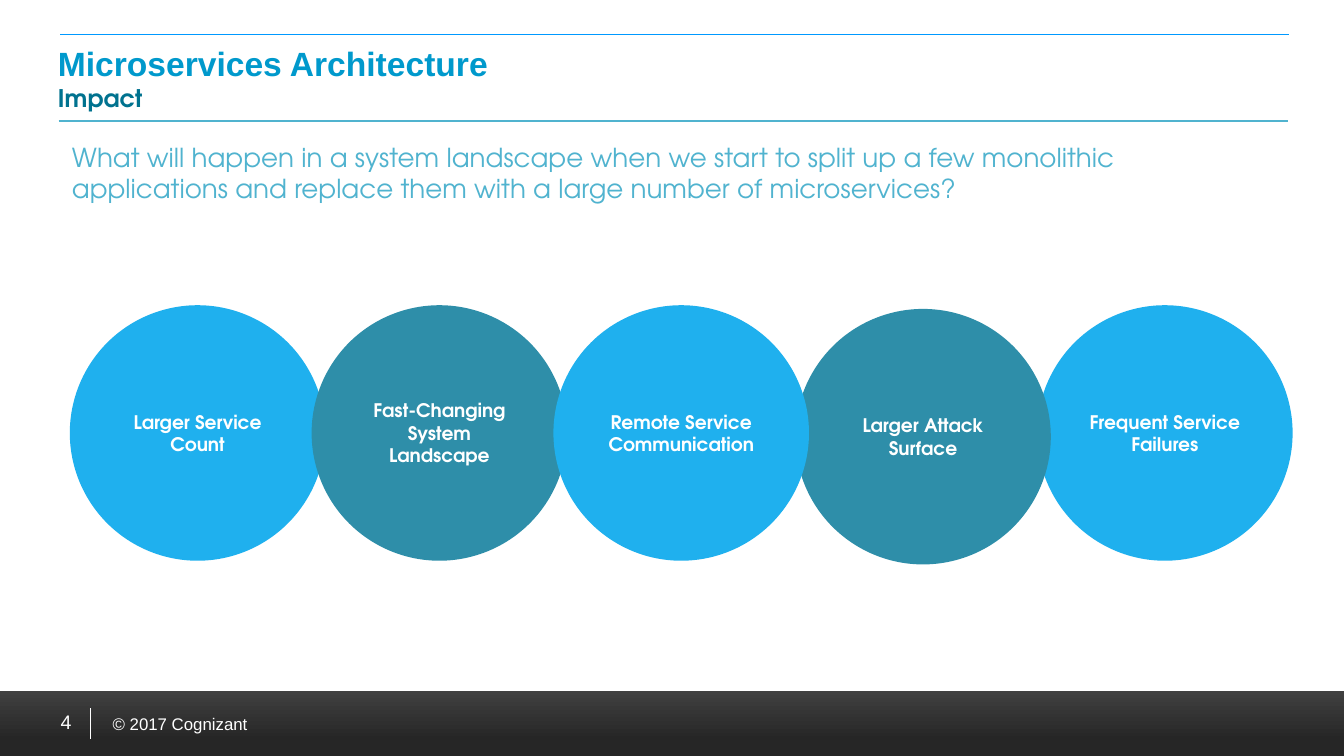
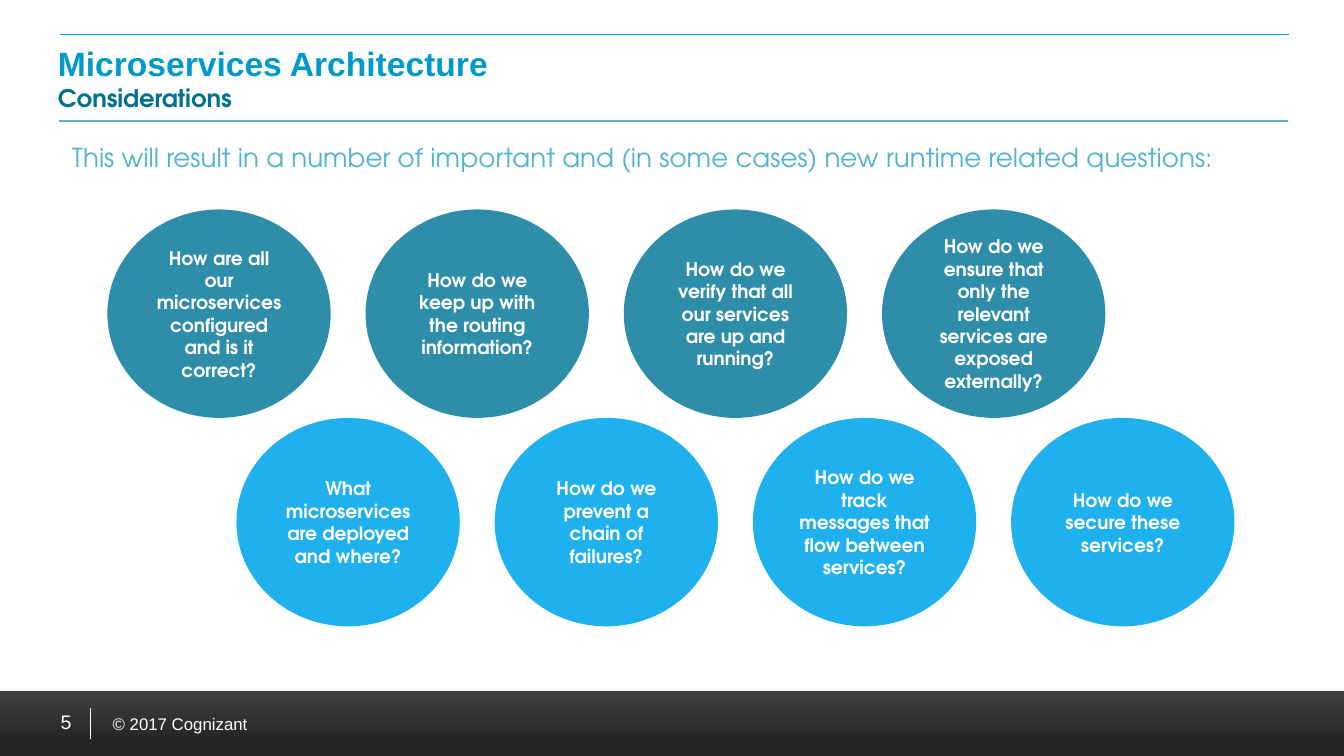
from dataclasses import dataclass

from lxml.etree import SubElement
from pptx import Presentation
from pptx.dml.color import RGBColor
from pptx.enum.shapes import MSO_CONNECTOR, MSO_SHAPE
from pptx.enum.text import MSO_ANCHOR, MSO_AUTO_SIZE, PP_ALIGN
from pptx.oxml.ns import qn
from pptx.util import Cm, Pt

TITLE = "Microservices Architecture"
COPYRIGHT = "© 2017 Cognizant"

IMPACT = {
    "number": "4",
    "subtitle": "Impact",
    "intro": "What will happen in a system landscape when we start to split up a few "
             "monolithic applications and replace them with a large number of microservices?",
    "intro_height": 1.45,
}
IMPACTS = [
    "Larger Service\nCount",
    "Fast-Changing System Landscape",
    "Remote Service Communication",
    "Larger Attack\nSurface",
    "Frequent Service Failures",
]
# The middle circle overlaps both neighbours, so it is drawn last.
IMPACT_ORDER = (4, 3, 0, 1, 2)

CONSIDERATIONS = {
    "number": "5",
    "subtitle": "Considerations",
    "intro": "This will result in a number of important and (in some cases) new "
             "runtime related questions:",
    "intro_height": 0.87,
}
QUESTION_ROWS = [
    [
        "How are all our microservices configured and is it correct?",
        "How do we keep up with the routing information?",
        "How do we verify that all our services are up and running?",
        "How do we ensure that only the relevant services are exposed externally?",
    ],
    [
        "What microservices are deployed and where?",
        "How do we prevent a chain of failures?",
        "How do we track messages that flow between services?",
        "How do we secure these services?",
    ],
]


@dataclass(frozen=True)
class Theme:
    white: str = "FFFFFF"
    teal: str = "2E8EA9"
    sky: str = "1FB0EE"
    pale_teal: str = "50B3CF"
    top_rule: str = "0099FF"
    band_dark: str = "262626"
    band_light: str = "404040"
    body_font: str = "TeX Gyre Adventor"

    @property
    def title(self):
        return {"name": "Arial", "size": Pt(18), "bold": True, "color": "0099CC"}

    @property
    def subtitle(self):
        return {"name": self.body_font, "size": Pt(13), "bold": True, "color": "00728F"}

    @property
    def intro(self):
        return {"name": self.body_font, "size": Pt(14), "color": self.pale_teal}

    @property
    def circle(self):
        return {"name": self.body_font, "size": Pt(10), "bold": True, "color": self.white}

    @property
    def copyright(self):
        return {"name": "Arial", "size": Pt(9), "color": self.white}

    @property
    def number(self):
        return {"name": "Arial", "size": Pt(10.5), "color": self.white}


THEME = Theme()


def rgb(color):
    return RGBColor.from_string(color)


def style(font, values):
    for name, value in values.items():
        if name == "color":
            font.color.rgb = rgb(value)
        else:
            setattr(font, name, value)


def write(shape, text, font, align=PP_ALIGN.LEFT, anchor=MSO_ANCHOR.TOP):
    frame = shape.text_frame
    frame.text = text
    frame.word_wrap = True
    frame.vertical_anchor = anchor
    for para in frame.paragraphs:
        para.alignment = align
        for span in para.runs:
            style(span.font, font)


def add_text(page, area, text, font, **layout):
    box = page.shapes.add_textbox(*map(Cm, area))
    write(box, text, font, **layout)
    return box


def add_rule(page, start, end, color, width):
    rule = page.shapes.add_connector(MSO_CONNECTOR.STRAIGHT, *map(Cm, start + end))
    rule.line.color.rgb = rgb(color)
    rule.line.width = Pt(width)
    SubElement(rule._element.spPr, qn("a:effectLst"))


def add_circle(page, area, text, color):
    circle = page.shapes.add_shape(MSO_SHAPE.OVAL, *map(Cm, area))
    circle.shadow.inherit = False
    circle.fill.solid()
    circle.fill.fore_color.rgb = rgb(color)
    circle.line.fill.background()
    write(circle, text, THEME.circle, align=PP_ALIGN.CENTER, anchor=MSO_ANCHOR.MIDDLE)


def add_footer(page, number):
    band = page.shapes.add_shape(MSO_SHAPE.RECTANGLE, 0, Cm(13.06), Cm(25.4), Cm(1.23))
    band.shadow.inherit = False
    band.line.fill.background()
    band.fill.gradient()
    band.fill.gradient_angle = 90
    stops = [(0.24, THEME.band_dark), (1, THEME.band_light)]
    for stop, (position, color) in zip(band.fill.gradient_stops, stops):
        stop.position = position
        stop.color.rgb = rgb(color)
    add_text(page, (1.88, 13.36, 5.33, 0.64), COPYRIGHT, THEME.copyright)
    add_rule(page, (1.71, 13.39), (1.71, 13.97), THEME.white, 0.5)
    add_text(page, (0.1, 13.13, 1.5, 1.04), number, THEME.number,
             align=PP_ALIGN.RIGHT, anchor=MSO_ANCHOR.MIDDLE)


def set_title(page, subtitle):
    title = page.shapes.title
    title.left, title.top, title.width, title.height = map(Cm, (0.84, 0.69, 23.52, 1.65))
    write(title, TITLE, THEME.title)
    title.text_frame.auto_size = MSO_AUTO_SIZE.NONE
    para = title.text_frame.paragraphs[0]
    para.add_line_break()
    span = para.add_run()
    span.text = subtitle
    style(span.font, THEME.subtitle)


def add_page(deck, content):
    """Add a slide with its title, rules, footer and introduction."""
    page = deck.slides.add_slide(deck.slide_layouts.get_by_name("Title Only"))
    add_footer(page, content["number"])
    set_title(page, content["subtitle"])
    add_rule(page, (1.14, 0.66), (24.36, 0.66), THEME.top_rule, 0.5)
    add_rule(page, (1.11, 2.29), (24.35, 2.29), THEME.pale_teal, 1)
    intro = add_text(page, (1.11, 2.54, 23.24, content["intro_height"]),
                     content["intro"], THEME.intro)
    intro.text_frame.auto_size = MSO_AUTO_SIZE.SHAPE_TO_FIT_TEXT
    return page


def build_impact(deck):
    page = add_page(deck, IMPACT)
    left, top, pitch, size = 1.32, 5.77, 4.57, 4.83
    lowered = {3: 0.07}
    for index in IMPACT_ORDER:
        color = THEME.teal if index % 2 else THEME.sky
        area = (left + index * pitch, top + lowered.get(index, 0), size, size)
        add_circle(page, area, IMPACTS[index], color)


def build_considerations(deck):
    page = add_page(deck, CONSIDERATIONS)
    left, top, pitch, width, height = 2.03, 3.96, 4.88, 4.22, 3.94
    for row, questions in enumerate(QUESTION_ROWS):
        color = (THEME.teal, THEME.sky)[row]
        for column, question in enumerate(questions):
            area = (left + (column + row / 2) * pitch, top + row * height, width, height)
            add_circle(page, area, question, color)


def main():
    deck = Presentation()
    deck.slide_width, deck.slide_height = Cm(25.4), Cm(14.29)
    build_impact(deck)
    build_considerations(deck)
    deck.save("out.pptx")


if __name__ == "__main__":
    main()
